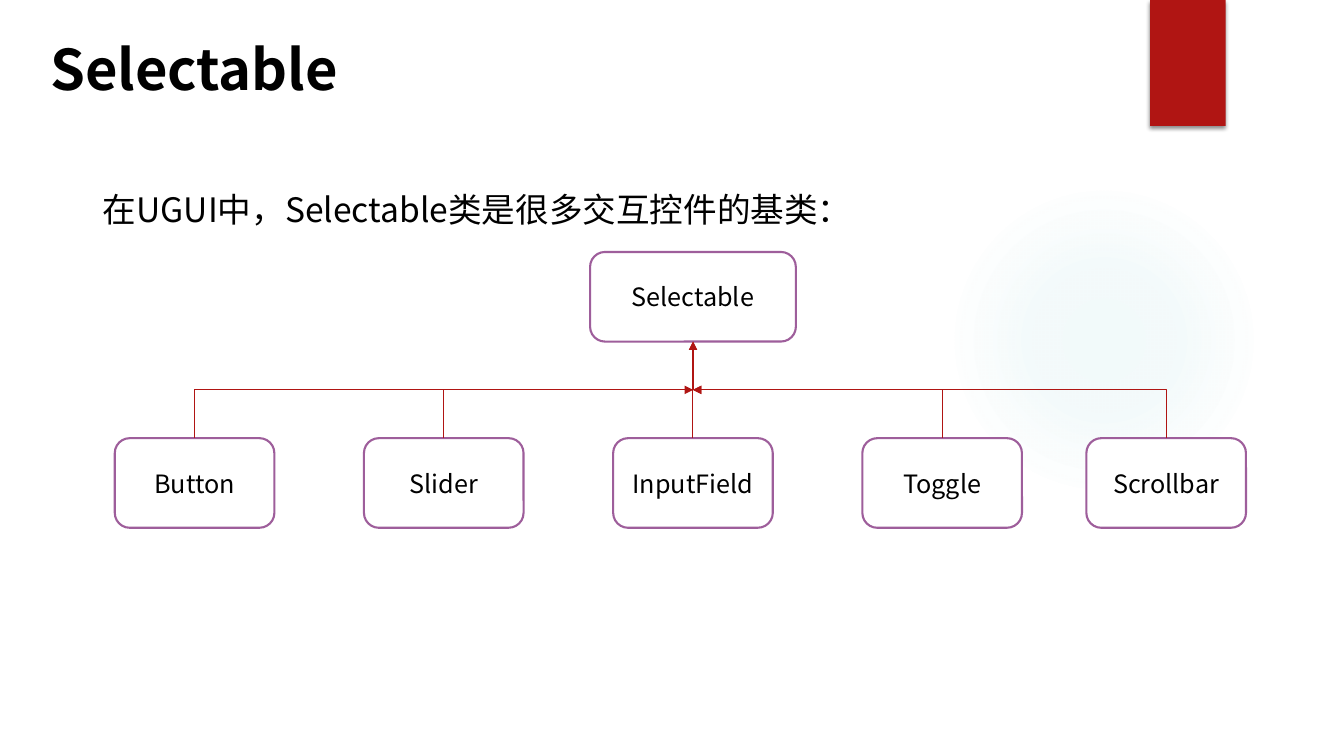
from pptx import Presentation
from pptx.dml.color import RGBColor
from pptx.enum.shapes import MSO_CONNECTOR, MSO_SHAPE
from pptx.enum.text import MSO_ANCHOR, PP_ALIGN
from pptx.oxml import parse_xml
from pptx.oxml.ns import nsdecls, qn
from pptx.util import Pt

# Content
TITLE = "Selectable"
LEAD = "在UGUI中，Selectable类是很多交互控件的基类："
ROOT = ("Selectable", 421.5, 180, 147)
KIDS = [("Button", 82), ("Slider", 260), ("InputField", 438),
        ("Toggle", 616), ("Scrollbar", 776)]
FONT = "Noto Sans CJK SC"
HUE = {"red": "B01513", "edge": "9E5E9B", "glow": "50B9C1",
       "ink": "000000", "paper": "FFFFFF"}
KID_TOP, KID_W, BOX_H = 313, 114, 64
GLOW = [(0, 7), (36, 6), (69, 0)]  # position and opacity, percent


def rgb(name):
    return RGBColor.from_string(HUE[name])


def write(para, text, **style):
    run = para.add_run()
    run.text = text
    for key, val in {"name": FONT, **style}.items():
        setattr(run.font, key, val)
    run.font.color.rgb = rgb("ink")
    props = run._r.get_or_add_rPr()
    props.append(parse_xml(f'<a:ea {nsdecls("a")} typeface="{FONT}"/>'))


def form(kind, x, y, w, h, fill=None, edge=None):
    item = slide.shapes.add_shape(kind, Pt(x), Pt(y), Pt(w), Pt(h))
    item.shadow.inherit = False
    if fill:
        item.fill.solid()
        item.fill.fore_color.rgb = rgb(fill)
    else:
        item.fill.background()
    if edge:
        item.line.color.rgb = rgb(edge)
        item.line.width = Pt(1.5)
    else:
        item.line.fill.background()
    return item


def node(text, x, y, w):
    item = form(MSO_SHAPE.ROUNDED_RECTANGLE, x, y, w, BOX_H, "paper", "edge")
    frame = item.text_frame
    frame.vertical_anchor = MSO_ANCHOR.MIDDLE
    frame.word_wrap = True
    frame.paragraphs[0].alignment = PP_ALIGN.CENTER
    write(frame.paragraphs[0], text, size=Pt(18))
    return item


def arrow(kind, x1, y1, x2, y2):
    link = slide.shapes.add_connector(kind, Pt(x1), Pt(y1), Pt(x2), Pt(y2))
    link.line.color.rgb = rgb("red")
    link.line.width = Pt(0.75)
    link.line._get_or_add_ln().append(
        parse_xml(f'<a:tailEnd {nsdecls("a")} type="triangle"/>'))
    link._element.spPr.append(parse_xml(f'<a:effectLst {nsdecls("a")}/>'))
    return link


def bend(x1, y1, x2, y2, shape):
    """Elbow that leaves (x1, y1) upwards, as a quarter-turned connector."""
    mx, my = (x1 + x2) / 2, (y1 + y2) / 2
    dx, dy = abs(x2 - x1) / 2, (y1 - y2) / 2
    side = 1 if x1 < x2 else -1
    link = arrow(MSO_CONNECTOR.ELBOW, mx + side * dy, my + dx,
                 mx - side * dy, my - dx)
    props = link._element.spPr
    turn = 90 if side > 0 else 270
    props.find(qn("a:xfrm")).set("rot", str(turn * 60000))
    props.find(qn("a:prstGeom")).set("prst", shape)


deck = Presentation()
deck.slide_width, deck.slide_height = Pt(960), Pt(540)
slide = deck.slides.add_slide(deck.slide_layouts[6])
slide.background.fill.solid()
slide.background.fill.fore_color.rgb = rgb("paper")

# Soft glow
glow = form(MSO_SHAPE.OVAL, 677.5, 131.8, 221.8, 221.8)
stops = "".join(
    f'<a:gs pos="{pos * 1000}"><a:srgbClr val="{HUE["glow"]}">'
    f'<a:alpha val="{part * 1000}"/></a:srgbClr></a:gs>' for pos, part in GLOW)
props = glow._element.spPr
props.replace(props.find(qn("a:noFill")), parse_xml(
    f'<a:gradFill {nsdecls("a")}><a:gsLst>{stops}</a:gsLst><a:path path="circle">'
    '<a:fillToRect l="50000" t="50000" r="50000" b="50000"/></a:path></a:gradFill>'))

# Red tab with its shadow
tab = form(MSO_SHAPE.RECTANGLE, 821.5, 0, 54, 90, "red")
tab._element.spPr.find(qn("a:effectLst")).append(parse_xml(
    f'<a:outerShdw {nsdecls("a")} blurRad="{Pt(3)}" dist="{Pt(2)}" dir="5400000">'
    f'<a:srgbClr val="{HUE["ink"]}"><a:alpha val="45000"/></a:srgbClr></a:outerShdw>'))

# Title and lead
frame = slide.shapes.add_textbox(Pt(28.8), Pt(21), Pt(757), Pt(138)).text_frame
frame.word_wrap = True
write(frame.paragraphs[0], TITLE, size=Pt(40), bold=True)
lead = frame.add_paragraph()
lead.space_before = Pt(62.5)
lead._p.get_or_add_pPr().set("marL", str(Pt(37.6)))
write(lead, LEAD, size=Pt(24))

# Class tree
root = node(*ROOT)
kids = [node(name, x, KID_TOP, KID_W) for name, x in KIDS]

# Arrows to the base class
hub, base = ROOT[1] + ROOT[3] / 2, ROOT[2] + BOX_H
rail = (base + KID_TOP) / 2
for i, (name, x) in enumerate(KIDS):
    mid = x + KID_W / 2
    if mid == hub:
        link = arrow(MSO_CONNECTOR.STRAIGHT, mid, KID_TOP, hub, base)
        link.begin_connect(kids[i], 0)
        link.end_connect(root, 2)
    elif i == 0:
        bend(mid, KID_TOP, hub, base, "bentConnector3")
    else:
        bend(mid, KID_TOP, hub, rail, "bentConnector2")

deck.save("out.pptx")
